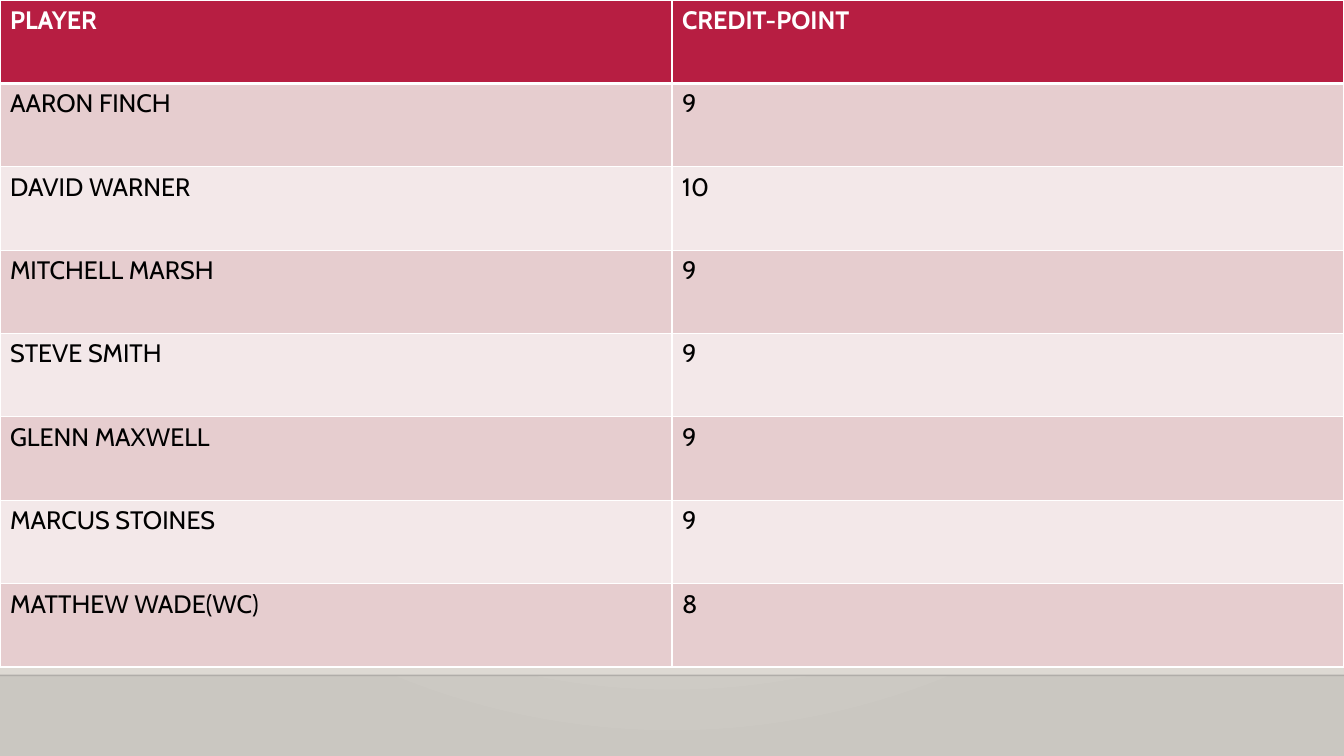
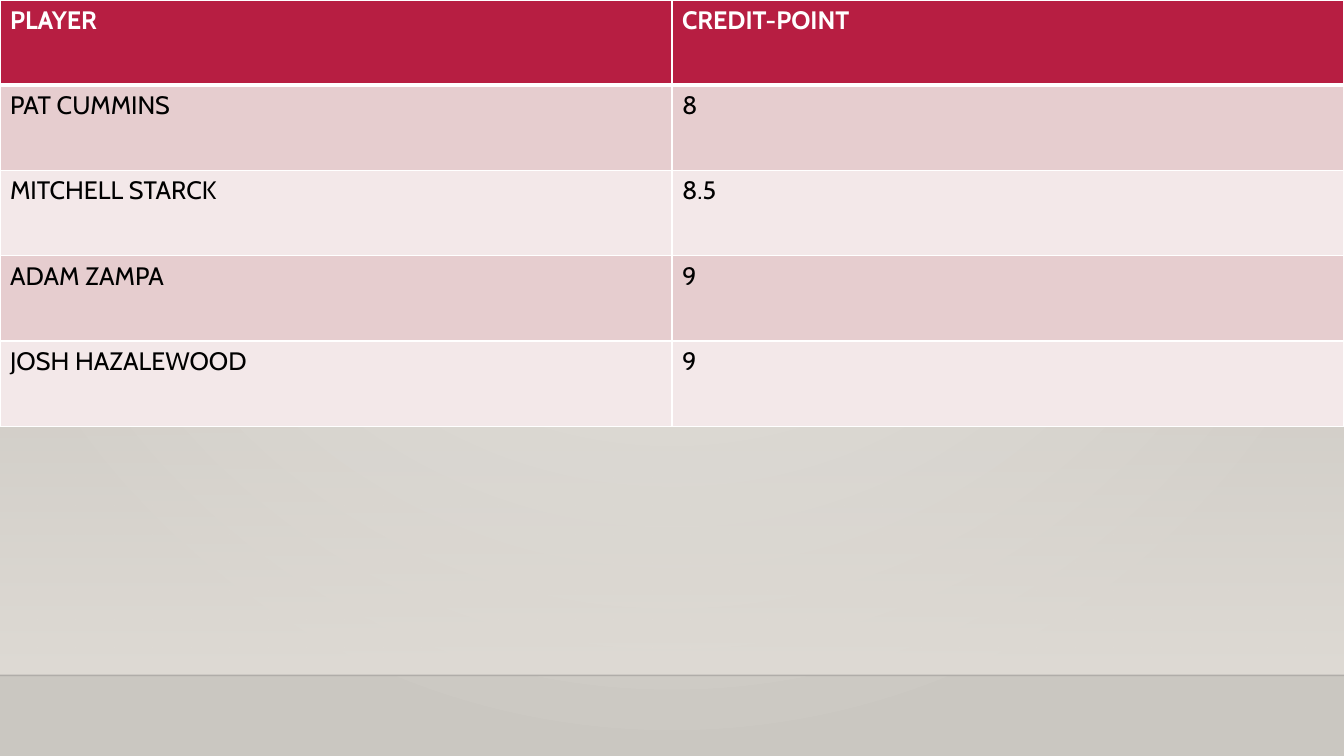
from dataclasses import dataclass

from lxml.etree import SubElement
from pptx import Presentation
from pptx.dml.color import RGBColor
from pptx.enum.shapes import MSO_CONNECTOR, MSO_SHAPE
from pptx.oxml import parse_xml
from pptx.oxml.ns import nsdecls, qn
from pptx.util import Inches, Pt


@dataclass(frozen=True)
class Theme:
    """Colours, type and line sizes shared by the slides."""

    font: str = "Cabin"
    text_size: float = 18
    header_fill: str = "B71E42"
    header_text: str = "FFFFFF"
    body_text: str = "000000"
    row_fills: tuple = ("E6CDCF", "F3E8E9")
    border: str = "FFFFFF"
    border_width: float = 1
    header_rule_width: float = 3
    background: tuple = ("ECEAE7", "CAC7C1")
    wall: str = "DFDBD5"
    floor_line: str = "000001"
    floor_line_alpha: int = 20


THEME = Theme()
WIDTH, HEIGHT = Inches(13.33), Inches(7.5)
WALL_TOP, FLOOR = 2.21 / 7.5, 6.7 / 7.5
RADIAL = (
    '<a:path {} path="circle">'
    '<a:fillToRect l="43000" t="0" r="43000" b="100000"/></a:path>'
).format(nsdecls("a"))
DOWNWARD = '<a:lin {} ang="5400000" scaled="0"/>'.format(nsdecls("a"))

HEADER = ("PLAYER", "CREDIT-POINT")
BATTERS = (
    ("AARON FINCH", "9"),
    ("DAVID WARNER", "10"),
    ("MITCHELL MARSH", "9"),
    ("STEVE SMITH", "9"),
    ("GLENN MAXWELL", "9"),
    ("MARCUS STOINES", "9"),
    ("MATTHEW WADE(WC)", "8"),
)
BOWLERS = (
    ("PAT CUMMINS", "8"),
    ("MITCHELL STARCK", "8.5"),
    ("ADAM ZAMPA", "9"),
    ("JOSH HAZALEWOOD", "9"),
)


def set_alpha(element, percent):
    """Set the opacity of the first plain colour inside an element."""
    color = next(element.iter(qn("a:srgbClr")))
    SubElement(color, qn("a:alpha")).set("val", str(percent * 1000))


def set_gradient(fill, owner, colors, direction):
    """Give the owner's fill a two-colour gradient with the given direction."""
    fill.gradient()
    for stop, color in zip(fill.gradient_stops, colors):
        stop.color.rgb = RGBColor.from_string(color)
    gradient = next(owner.iter(qn("a:gradFill")))
    gradient.replace(gradient.find(qn("a:lin")), parse_xml(direction))


def add_wall(slide):
    """Add the band that fades in down to the floor."""
    top = int(HEIGHT * WALL_TOP)
    wall = slide.shapes.add_shape(
        MSO_SHAPE.RECTANGLE, 0, top, WIDTH, int(HEIGHT * FLOOR) - top
    )
    wall.shadow.inherit = False
    wall.line.fill.background()
    set_gradient(wall.fill, wall.element, (THEME.wall, THEME.wall), DOWNWARD)
    set_alpha(wall.element, 0)


def add_floor_line(slide):
    """Add the faint line where the wall meets the floor."""
    level = int(HEIGHT * FLOOR)
    connector = slide.shapes.add_connector(
        MSO_CONNECTOR.STRAIGHT, 0, level, WIDTH, level
    )
    connector.line.color.rgb = RGBColor.from_string(THEME.floor_line)
    connector.line.width = Pt(1)
    set_alpha(connector.element, THEME.floor_line_alpha)
    SubElement(connector.element.spPr, qn("a:effectLst"))


def set_borders(cell, top, bottom):
    """Draw the four borders of a cell, widths in points."""
    side = THEME.border_width
    widths = {"lnL": side, "lnR": side, "lnT": top, "lnB": bottom}
    properties = cell._tc.get_or_add_tcPr()
    for index, (name, width) in enumerate(widths.items()):
        border = parse_xml(
            f'<a:{name} {nsdecls("a")} w="{Pt(width)}"><a:solidFill>'
            f'<a:srgbClr val="{THEME.border}"/></a:solidFill></a:{name}>'
        )
        properties.insert(index, border)


def style_cell(cell, text, row):
    """Fill one cell and format its text by its row number."""
    is_header = row == 0
    fill = THEME.header_fill if is_header else THEME.row_fills[(row - 1) % 2]
    color = THEME.header_text if is_header else THEME.body_text
    cell.fill.solid()
    cell.fill.fore_color.rgb = RGBColor.from_string(fill)
    cell.text_frame.text = text
    font = cell.text_frame.paragraphs[0].runs[0].font
    font.name, font.size, font.bold = THEME.font, Pt(THEME.text_size), is_header
    font.color.rgb = RGBColor.from_string(color)
    set_borders(
        cell,
        top=THEME.header_rule_width if row == 1 else THEME.border_width,
        bottom=THEME.header_rule_width if is_header else THEME.border_width,
    )


def add_credit_table(slide, players, height):
    """Add a full-width table of players and their credit points."""
    rows = (HEADER, *players)
    table = slide.shapes.add_table(
        len(rows), len(HEADER), 0, 0, WIDTH, Inches(height)
    ).table
    table.horz_banding = False
    for row, values in enumerate(rows):
        for column, text in enumerate(values):
            style_cell(table.cell(row, column), text, row)


def add_credit_slide(presentation, players, table_height):
    """Add one slide with the shared backdrop and a credit table."""
    slide = presentation.slides.add_slide(presentation.slide_layouts[6])
    add_wall(slide)
    add_floor_line(slide)
    add_credit_table(slide, players, table_height)


def main():
    """Build and save the presentation."""
    presentation = Presentation()
    presentation.slide_width, presentation.slide_height = WIDTH, HEIGHT
    master = presentation.slide_master
    set_gradient(master.background.fill, master.element, THEME.background, RADIAL)
    add_credit_slide(presentation, BATTERS, 6.62)
    add_credit_slide(presentation, BOWLERS, 4.23)
    presentation.save("out.pptx")


main()
